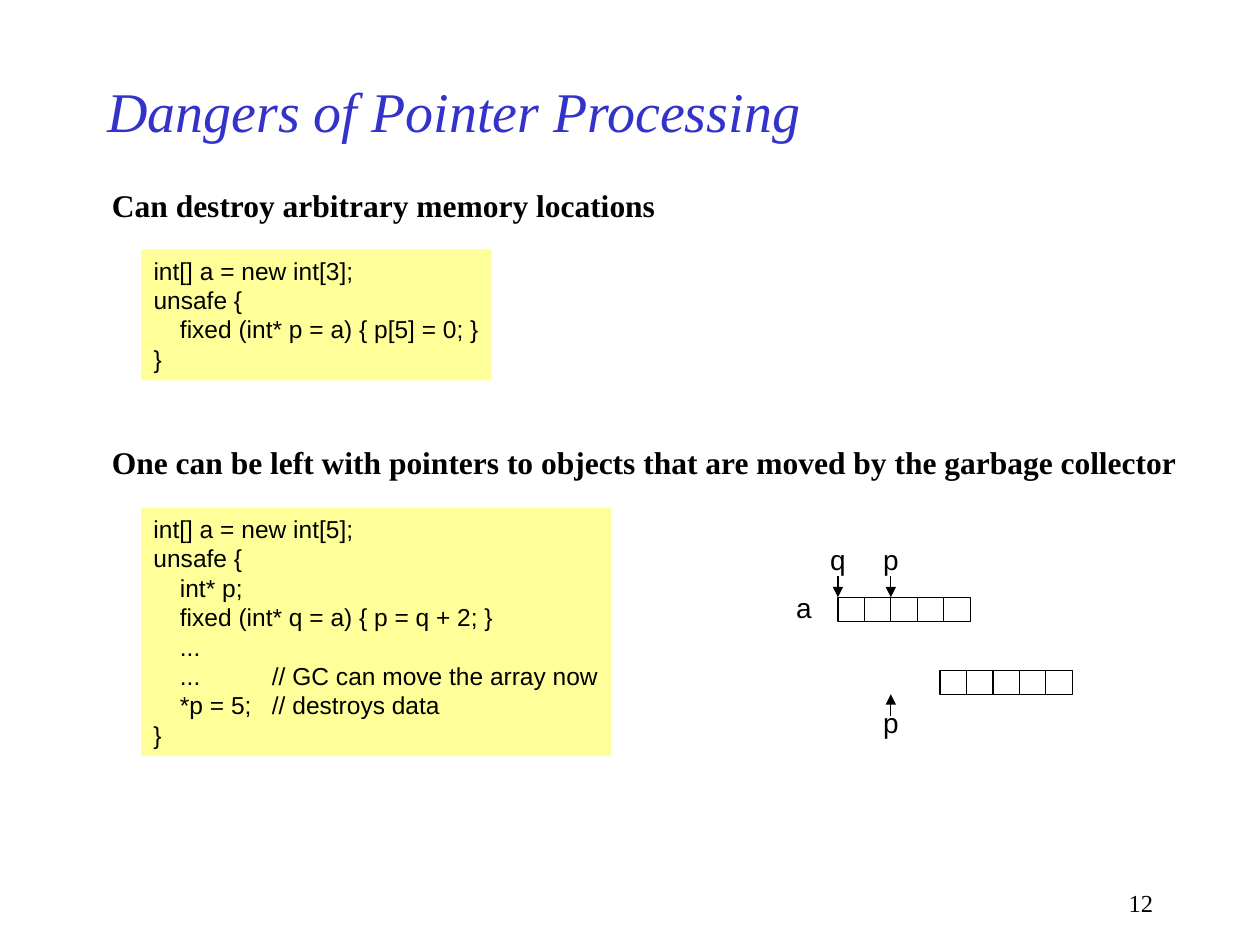
"""Build the slide on the dangers of pointer processing."""
from lxml.etree import SubElement
from pptx import Presentation
from pptx.dml.color import RGBColor
from pptx.enum.shapes import MSO_CONNECTOR, MSO_SHAPE
from pptx.enum.text import MSO_ANCHOR, PP_ALIGN
from pptx.oxml.ns import qn
from pptx.util import Inches, Pt

COLORS = {"title": "3333CC", "text": "000000", "code": "FFFF99"}
SERIF, SANS = "Times New Roman", "Arial"
CELL_WIDTH, CELL_HEIGHT, CELL_COUNT = 0.21, 0.19, 5
ARROW_LENGTH = 0.17

FIXED_CODE = [
    "int[] a = new int[3];",
    "unsafe {",
    "\tfixed (int* p = a) { p[5] = 0; }",
    "}",
]
MOVED_CODE = [
    "int[] a = new int[5];",
    "unsafe {",
    "\tint* p;",
    "\tfixed (int* q = a) { p = q + 2; }",
    "\t...",
    "\t...\t\t// GC can move the array now",
    "\t*p = 5;\t// destroys data",
    "}",
]


class SlideBuilder:
    def __init__(self, slide):
        self.slide = slide
        self.shapes = slide.shapes

    def color(self, name):
        return RGBColor.from_string(COLORS[name])

    def add_lines(self, frame, lines, size, font, color="text", bold=False, italic=False,
                  align=PP_ALIGN.LEFT, anchor=MSO_ANCHOR.TOP, wrap=False, tabs=()):
        frame.word_wrap = wrap
        frame.vertical_anchor = anchor
        for index, line in enumerate(lines):
            paragraph = frame.add_paragraph() if index else frame.paragraphs[0]
            paragraph.alignment = align
            if tabs:
                tab_list = SubElement(paragraph._p.get_or_add_pPr(), qn("a:tabLst"))
                for tab in tabs:
                    SubElement(tab_list, qn("a:tab"), pos=str(Inches(tab)), algn="l")
            run = paragraph.add_run()
            run.text = line
            run.font.size = Pt(size)
            run.font.name = font
            run.font.bold = bold
            run.font.italic = italic
            run.font.color.rgb = self.color(color)

    def title(self, text, left, top, width, height):
        title = self.shapes.title
        title.left, title.top = Inches(left), Inches(top)
        title.width, title.height = Inches(width), Inches(height)
        self.add_lines(title.text_frame, [text], 32, SERIF, "title", italic=True,
                       anchor=MSO_ANCHOR.MIDDLE, wrap=True)

    def text(self, text, left, top, width, height, size, font, **style):
        box = self.shapes.add_textbox(Inches(left), Inches(top), Inches(width), Inches(height))
        self.add_lines(box.text_frame, [text], size, font, **style)

    def heading(self, text, top, width):
        self.text(text, 0.79, top, width, 0.4, 18, SERIF, bold=True)

    def label(self, text, left, top):
        self.text(text, left, top, 0.32, 0.37, 16, SANS)

    def rectangle(self, left, top, width, height):
        shape = self.shapes.add_shape(
            MSO_SHAPE.RECTANGLE, Inches(left), Inches(top), Inches(width), Inches(height))
        shape.shadow.inherit = False
        return shape

    def code(self, lines, top, width, height, tabs):
        shape = self.rectangle(1.12, top, width, height)
        shape.fill.solid()
        shape.fill.fore_color.rgb = self.color("code")
        shape.line.fill.background()
        self.add_lines(shape.text_frame, lines, 14, SANS, tabs=tabs)

    def array(self, left, top):
        for index in range(CELL_COUNT):
            cell = self.rectangle(left + index * CELL_WIDTH, top, CELL_WIDTH, CELL_HEIGHT)
            cell.fill.background()
            cell.line.color.rgb = self.color("text")
            cell.line.width = Pt(0.75)

    def arrow(self, x, start, end):
        connector = self.shapes.add_connector(
            MSO_CONNECTOR.STRAIGHT, Inches(x), Inches(start), Inches(x), Inches(end))
        connector.line.color.rgb = self.color("text")
        connector.line.width = Pt(0.75)
        properties = connector._element.spPr
        SubElement(properties.find(qn("a:ln")), qn("a:tailEnd"), type="triangle")
        SubElement(properties, qn("a:effectLst"))


def main():
    presentation = Presentation()
    presentation.slide_width, presentation.slide_height = Inches(10), Inches(7.5)
    builder = SlideBuilder(presentation.slides.add_slide(presentation.slide_layouts[5]))

    builder.title("Dangers of Pointer Processing", 0.75, 0.5, 7.5, 0.75)
    builder.heading("Can destroy arbitrary memory locations", 1.43, 4.52)
    builder.code(FIXED_CODE, 1.98, 2.78, 1.04, (0.21, 0.42))
    builder.heading("One can be left with pointers to objects that are moved"
                    " by the garbage collector", 3.47, 8.65)
    builder.code(MOVED_CODE, 4.03, 3.73, 1.97, (0.21, 0.42, 0.94))

    array_left, array_top, moved_top = 6.65, 4.74, 5.32
    moved_bottom = moved_top + CELL_HEIGHT
    pointer_x = array_left + 2 * CELL_WIDTH
    builder.array(array_left, array_top)
    builder.array(7.46, moved_top)
    builder.label("a", 6.22, 4.64)
    for name, x in (("q", array_left), ("p", pointer_x)):
        builder.arrow(x, array_top - ARROW_LENGTH, array_top)
        builder.label(name, x - 0.16, 4.26)
    builder.arrow(pointer_x, moved_bottom + ARROW_LENGTH, moved_bottom)
    builder.label("p", pointer_x - 0.16, 5.55)

    builder.text("12", 7.17, 7, 2.08, 0.33, 14, SERIF, align=PP_ALIGN.RIGHT, wrap=True)
    presentation.save("out.pptx")


if __name__ == "__main__":
    main()
